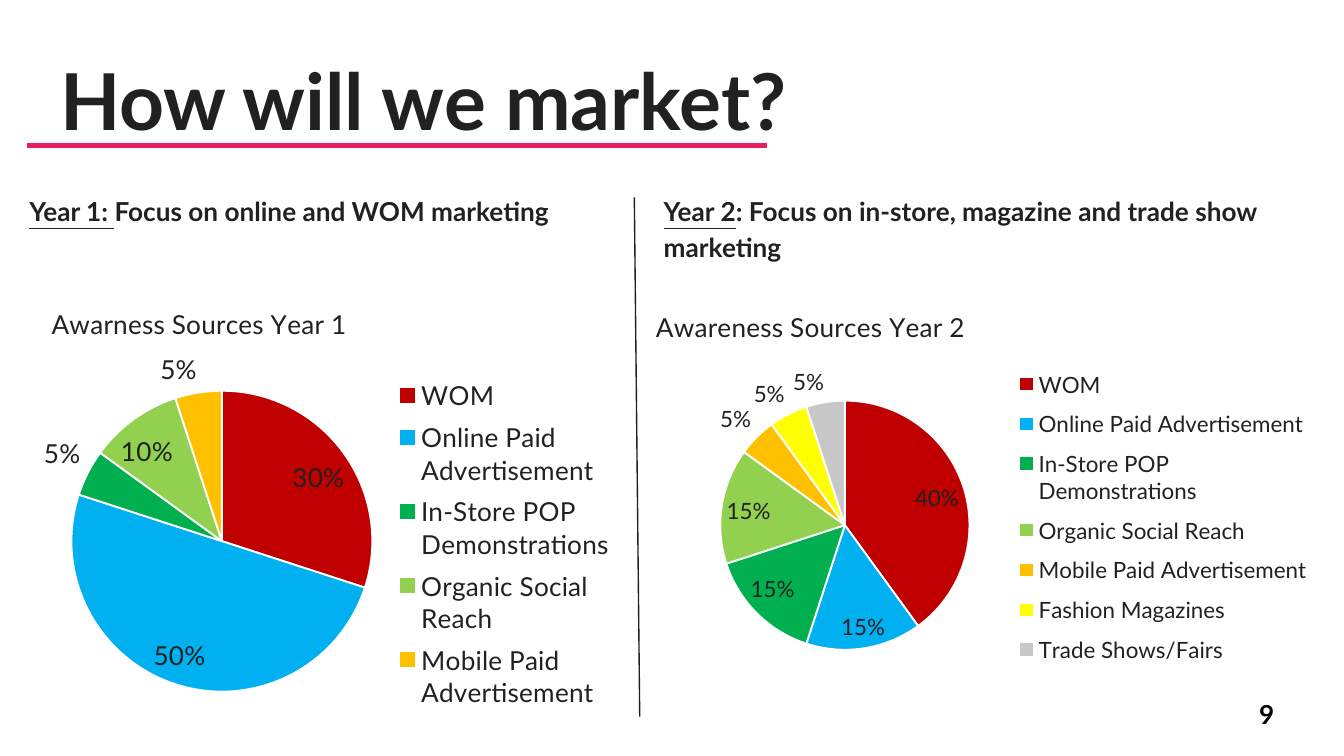
from lxml.etree import SubElement
from pptx import Presentation
from pptx.chart.data import CategoryChartData
from pptx.dml.color import RGBColor
from pptx.enum.chart import XL_CHART_TYPE, XL_LABEL_POSITION, XL_LEGEND_POSITION
from pptx.enum.shapes import MSO_CONNECTOR
from pptx.enum.text import MSO_ANCHOR
from pptx.oxml.ns import qn
from pptx.util import Inches, Pt

FONT = "Lato"
INK = "212121"
SLICE_COLORS = ["C00000", "00B0F0", "00B050", "92D050", "FFC000", "FFFF00", "C8C8C8"]
SOURCES = ["WOM", "Online Paid Advertisement", "In-Store POP Demonstrations",
           "Organic Social Reach", "Mobile Paid Advertisement",
           "Fashion Magazines", "Trade Shows/Fairs"]

# The slide is a grid of 100 columns by 100 rows
WIDTH = Inches(10)
HEIGHT = WIDTH * 9 // 16


def grid(*lengths):
    """Turn alternating columns and rows into slide lengths."""
    return [int((HEIGHT if i % 2 else WIDTH) * length / 100)
            for i, length in enumerate(lengths)]


def color(hex_string):
    return RGBColor.from_string(hex_string)


def style_font(font, size, bold=False, ink=INK):
    font.name = FONT
    font.size = Pt(size)
    font.bold = bold
    font.color.rgb = color(ink)


def add_text(slide, box, parts, size, ink=INK, anchor=MSO_ANCHOR.TOP):
    """Write one bold paragraph made of (wording, underlined) parts."""
    frame = slide.shapes.add_textbox(*grid(*box)).text_frame
    frame.word_wrap = True
    frame.vertical_anchor = anchor
    frame.margin_left = frame.margin_right = Inches(0.1)
    frame.margin_top = frame.margin_bottom = Inches(0.1)
    paragraph = frame.paragraphs[0]
    for wording, underlined in parts:
        run = paragraph.add_run()
        run.text = wording
        style_font(run.font, size, True, ink)
        run.font.underline = underlined
    return paragraph


def add_rule(slide, ends, ink, weight):
    rule = slide.shapes.add_connector(MSO_CONNECTOR.STRAIGHT, *grid(*ends))
    rule.line.color.rgb = color(ink)
    rule.line.width = Pt(weight)
    SubElement(rule.element.spPr, qn("a:effectLst"))


def place_part(part, shares, after=None, inner=False):
    """Fix a chart part at x, y, w, h, as shares of the chart's box."""
    for automatic in part.findall(qn("c:layout")):
        part.remove(automatic)
    layout = SubElement(part, qn("c:layout"))
    part.insert(0 if after is None else part.index(part.find(qn(after))) + 1, layout)
    manual = SubElement(layout, qn("c:manualLayout"))
    settings = [("layoutTarget", "inner")] if inner else []
    settings += [("xMode", "edge"), ("yMode", "edge")]
    settings += zip("xywh", shares)
    for tag, value in settings:
        SubElement(manual, qn("c:" + tag)).set("val", str(value))


def add_awareness_pie(slide, box, title, percents, size, title_at, pie_at, legend_at):
    data = CategoryChartData()
    data.categories = SOURCES[:len(percents)]
    data.add_series("Series 1", percents)
    chart = slide.shapes.add_chart(XL_CHART_TYPE.PIE, *grid(*box), data).chart
    style_font(chart.font, size)

    # Title and legend
    chart.has_title = True
    heading = chart.chart_title.text_frame
    heading.text = title
    style_font(heading.paragraphs[0].runs[0].font, 14)
    chart.has_legend = True
    chart.legend.position = XL_LEGEND_POSITION.RIGHT
    chart.legend.include_in_layout = False
    style_font(chart.legend.font, size)

    # Slices and their percentages
    pie = chart.plots[0]
    pie.vary_by_categories = True
    for index in range(len(percents)):
        slice_format = pie.series[0].points[index].format
        slice_format.fill.solid()
        slice_format.fill.fore_color.rgb = color(SLICE_COLORS[index])
        slice_format.line.color.rgb = color("FFFFFF")
        slice_format.line.width = Pt(1)
    pie.has_data_labels = True
    labels = pie.data_labels
    labels.show_value = False
    labels.show_percentage = True
    labels.number_format = "0%"
    labels.number_format_is_linked = False
    labels.position = XL_LABEL_POSITION.BEST_FIT
    style_font(labels.font, size)

    # Arrangement inside the chart
    body = chart.element.find(qn("c:chart"))
    place_part(body.find(qn("c:title")), title_at, after="c:tx")
    place_part(body.find(qn("c:plotArea")), pie_at, inner=True)
    place_part(body.find(qn("c:legend")), legend_at, after="c:legendPos")


def add_year(slide, focus_box, focus, pie_box, **pie):
    paragraph = add_text(slide, focus_box, focus, 14)
    paragraph.line_spacing = 1.15
    paragraph.space_after = Pt(16)
    add_awareness_pie(slide, pie_box, **pie)


def add_header(slide, box):
    left, top, _, height = box
    underline_row = top + height * 0.9
    add_rule(slide, (left - 1.5, underline_row, 57.1, underline_row), "E91D63", 3)
    add_text(slide, box, [("How will we market?", False)], 42)


def main():
    deck = Presentation()
    deck.slide_width, deck.slide_height = WIDTH, HEIGHT
    slide = deck.slides.add_slide(deck.slide_layouts[6])

    add_header(slide, (3.5, 5.15, 93.2, 15.65))

    # Year 1, left half
    add_year(slide, (1.2, 23.5, 43.7, 64.9),
             [("Year 1: ", True), ("Focus on online and WOM marketing", False)],
             (1.2, 31.8, 45.7, 65.8),
             title="Awarness Sources Year 1", percents=[30, 50, 5, 10, 5], size=14,
             title_at=(0.05, 0.12), pie_at=(0.09, 0.3, 0.49, 0.61),
             legend_at=(0.6, 0.26, 0.39, 0.7))

    # Year 2, right half
    add_year(slide, (48.4, 23.5, 47.2, 71.5),
             [("Year 2", True),
              (": Focus on in-store, magazine and trade show marketing", False)],
             (46.9, 37.3, 51.5, 55.5),
             title="Awareness Sources Year 2",
             percents=[40, 15, 15, 15, 5, 5, 5], size=12,
             title_at=(0.03, 0.05), pie_at=(0.13, 0.28, 0.36, 0.6),
             legend_at=(0.55, 0.18, 0.44, 0.76))

    # Divider between the years, and page number
    add_rule(slide, (47.2, 26.1, 47.6, 94.8), "202020", 0.75)
    add_text(slide, (92.7, 90.7, 6, 7.6), [("9", False)], 14, "000000", MSO_ANCHOR.MIDDLE)

    deck.save("out.pptx")


if __name__ == "__main__":
    main()
